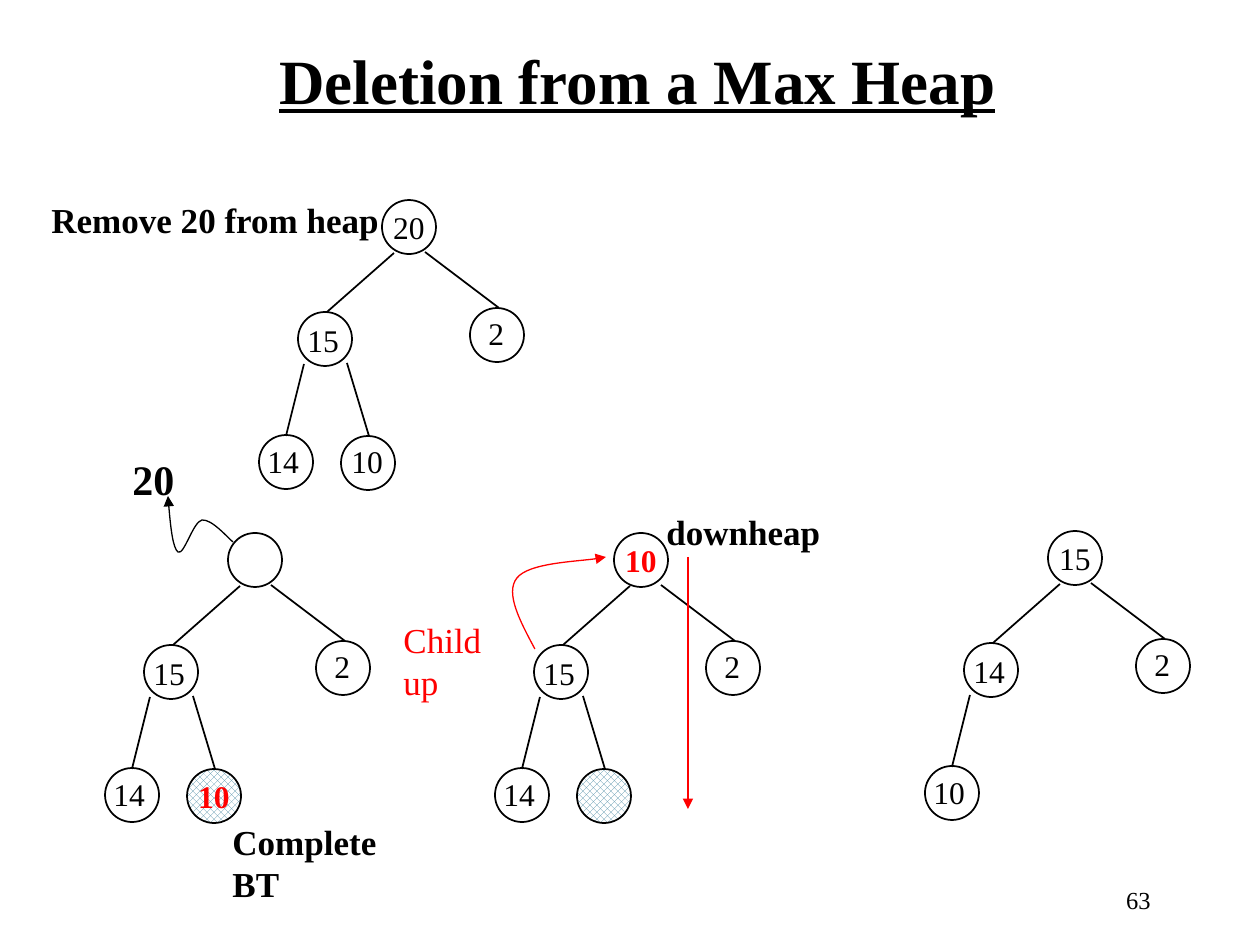
import pptx
import pptx.dml.color
import pptx.enum.dml
import pptx.enum.shapes
import pptx.enum.text
import pptx.oxml.ns
import pptx.util
from dataclasses import dataclass
from lxml import etree


@dataclass
class Theme:
    font: str = "Times New Roman"
    black: str = "000000"
    red: str = "FF0000"
    white: str = "FFFFFF"
    hatch: str = "5490A8"
    title: int = 36
    removed: int = 24
    caption: int = 20
    node: int = 18
    page: int = 14
    edge: float = 1
    arrow: float = 0.75


theme = Theme()
RGB = pptx.dml.color.RGBColor.from_string
ALIGN = pptx.enum.text.PP_ALIGN
STRAIGHT = pptx.enum.shapes.MSO_CONNECTOR.STRAIGHT
PX = 7257  # EMU per px, 126 px to the inch


def write(shape, text, size, color=theme.black, bold=False, align=ALIGN.LEFT):
    """Add one unwrapped run of text and return it."""
    shape.text_frame.word_wrap = False
    paragraph = shape.text_frame.paragraphs[0]
    paragraph.alignment = align
    run = paragraph.add_run()
    run.text = text
    run.font.name = theme.font
    run.font.size = pptx.util.Pt(size)
    run.font.bold = bold
    run.font.color.rgb = RGB(color)
    return run


def stroke(shape, color, width, arrow_end=None):
    """Set a plain line without shadow, with an arrowhead if one is named."""
    shape.line.color.rgb = RGB(color)
    shape.line.width = pptx.util.Pt(width)
    properties = shape.element.spPr
    if arrow_end:
        line = properties.find(pptx.oxml.ns.qn("a:ln"))
        etree.SubElement(line, pptx.oxml.ns.qn(f"a:{arrow_end}"), type="triangle")
    etree.SubElement(properties, pptx.oxml.ns.qn("a:effectLst"))


presentation = pptx.Presentation()
presentation.slide_width = pptx.util.Inches(10)
presentation.slide_height = pptx.util.Inches(7.5)
slide = presentation.slides.add_slide(presentation.slide_layouts[6])

# Title, captions and page number: text, box, size, colour, bold, alignment
captions = [
    ("Deletion from a Max Heap", (266, 35, 743, 88), theme.title, theme.black, True, ALIGN.CENTER),
    ("Remove 20 from heap", (39, 192, 353, 54), theme.caption, theme.black, True, ALIGN.LEFT),
    ("20", (120, 447, 67, 63), theme.removed, theme.black, True, ALIGN.LEFT),
    ("Complete BT", (220, 814, 224, 54), theme.caption, theme.black, True, ALIGN.LEFT),
    ("downheap", (654, 504, 179, 54), theme.caption, theme.black, True, ALIGN.LEFT),
    ("Child up", (391, 612, 146, 54), theme.caption, theme.red, False, ALIGN.LEFT),
    ("63", (901, 879, 262, 63), theme.page, theme.black, False, ALIGN.RIGHT),
]
for text, box, size, color, bold, align in captions:
    caption = slide.shapes.add_textbox(*[v * PX for v in box])
    run = write(caption, text, size, color, bold, align)
    run.font.underline = size == theme.title

# Heap layout, relative to the corner of the root's circle
DIAMETER = 54
node_corners = {"root": (0, 0), "left": (-84, 112), "right": (88, 108),
                "left.left": (-123, 235), "left.right": (-41, 236)}
label_boxes = {"left": (-87, 115, 58, 50), "right": (94, 108, 42, 50),
               "left.left": (-127, 236, 58, 50), "left.right": (-43, 236, 58, 50)}
edges = {"left": (12, 53, -55, 112), "right": (43, 52, 117, 108),
         "left.left": (-78, 164, -96, 236), "left.right": (-35, 163, -13, 236)}

# Heaps: origin, shift of the root, grouped, hatched node, red node, values
heaps = [
    ((382, 200), 0, True, None, None,
     {"root": "20", "left": "15", "right": "2", "left.left": "14", "left.right": "10"}),
    ((228, 533), 0, False, "left.right", "left.right",
     {"root": "", "left": "15", "right": "2", "left.left": "14", "left.right": "10"}),
    ((618, 533), -4, False, "left.right", "root",
     {"root": "10", "left": "15", "right": "2", "left.left": "14", "left.right": ""}),
    ((1048, 531), 0, True, None, None,
     {"root": "15", "left": "14", "right": "2", "left.left": "10"}),
]
for (x, y), root_shift, grouped, hatched, red, values in heaps:
    shapes = slide.shapes.add_group_shape().shapes if grouped else slide.shapes
    for node, value in values.items():
        # Edge from the parent
        if node in edges:
            x1, y1, x2, y2 = edges[node]
            edge = shapes.add_connector(STRAIGHT, (x + x1) * PX, (y + y1) * PX,
                                        (x + x2) * PX, (y + y2) * PX)
            stroke(edge, theme.black, theme.edge)

        # Circle
        dx, dy = node_corners[node]
        if node == "root":
            dx += root_shift
        circle = shapes.add_shape(pptx.enum.shapes.MSO_SHAPE.OVAL, (x + dx) * PX,
                                  (y + dy) * PX, DIAMETER * PX, DIAMETER * PX)
        stroke(circle, theme.black, theme.edge)
        if node == hatched:
            circle.fill.patterned()
            circle.fill.pattern = pptx.enum.dml.MSO_PATTERN.OUTLINED_DIAMOND
            circle.fill.fore_color.rgb = RGB(theme.hatch)
            circle.fill.back_color.rgb = RGB(theme.white)
        else:
            circle.fill.background()

        # Value
        if not value:
            continue
        if node in ("root", red):
            circle.text_frame.vertical_anchor = pptx.enum.text.MSO_ANCHOR.MIDDLE
            write(circle, value, theme.node, theme.red if node == red else theme.black,
                  node == red, ALIGN.CENTER)
        else:
            dx, dy, width, height = label_boxes[node]
            label = shapes.add_textbox((x + dx) * PX, (y + dy) * PX, width * PX, height * PX)
            write(label, value, theme.node)

# Downheap arrow
downheap = slide.shapes.add_connector(STRAIGHT, 688 * PX, 557 * PX, 688 * PX, 809 * PX)
stroke(downheap, theme.red, theme.arrow, "tailEnd")

# Curved arrows: a start, then two controls and an end for each segment
curves = [
    ([(168, 496), (170, 523), (173, 548), (178, 552), (184, 556), (193, 522),
      (202, 520), (212, 519), (228, 538), (233, 542)], theme.black, "headEnd"),
    ([(535, 649), (520, 621), (505, 593), (517, 578), (529, 563), (591, 561),
      (606, 557)], theme.red, "tailEnd"),
]
for points, color, arrow_end in curves:
    builder = slide.shapes.build_freeform(*points[0], scale=PX)
    builder.add_line_segments(points[1:], close=False)
    curve = builder.convert_to_shape()
    curve.fill.background()
    stroke(curve, color, theme.arrow, arrow_end)
    # Merge every three line segments into one cubic Bézier segment
    segments = curve.element.xpath(".//a:lnTo")
    for i in range(0, len(segments), 3):
        outline = segments[i].getparent()
        bezier = etree.SubElement(outline, pptx.oxml.ns.qn("a:cubicBezTo"))
        for segment in segments[i:i + 3]:
            bezier.append(segment[0])
            outline.remove(segment)

presentation.save("out.pptx")
